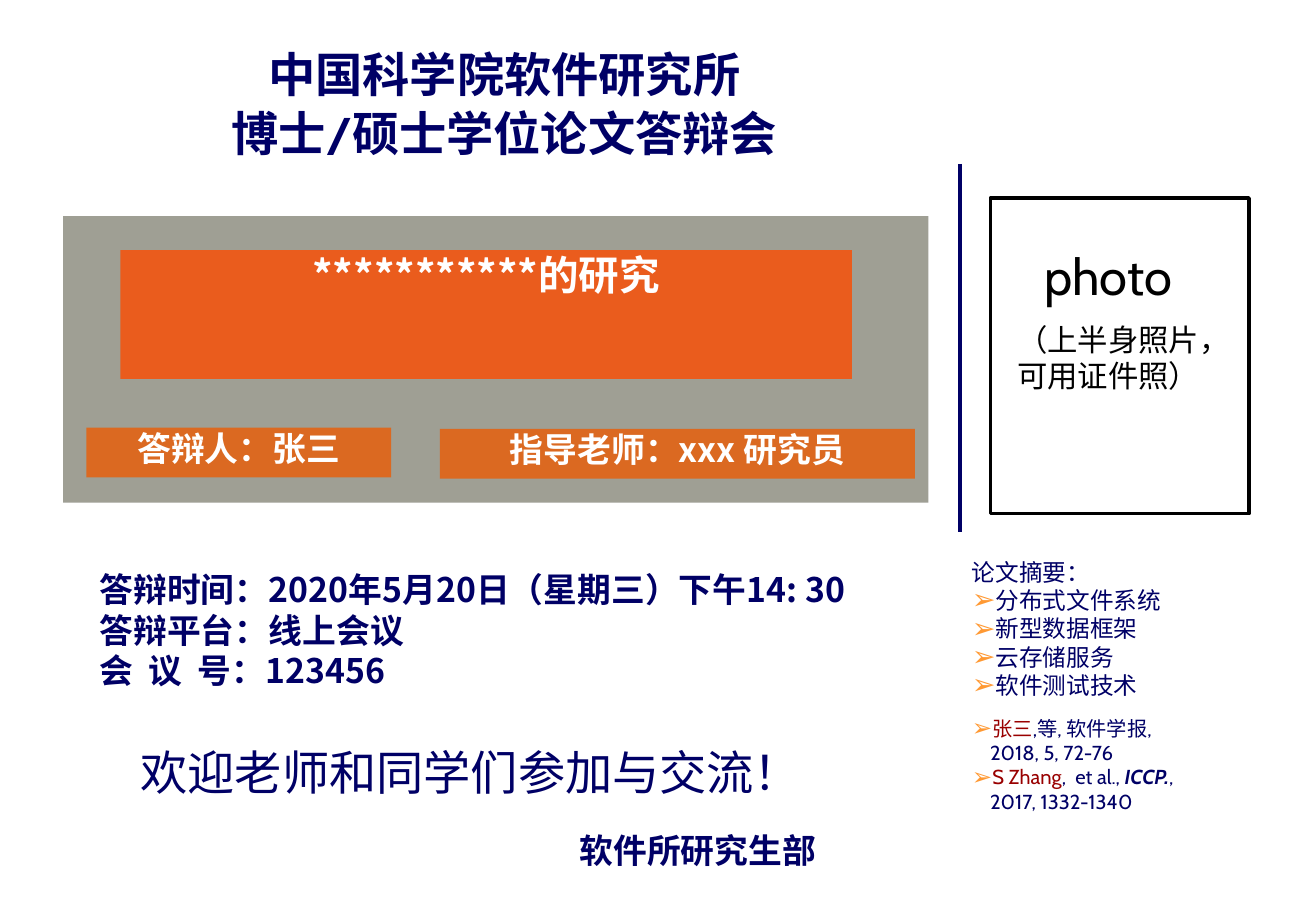
from lxml import etree
from pptx import Presentation
from pptx.dml.color import RGBColor
from pptx.enum.shapes import MSO_CONNECTOR, MSO_SHAPE
from pptx.enum.text import MSO_ANCHOR, PP_ALIGN
from pptx.oxml.ns import qn
from pptx.util import Inches, Pt

RECT = MSO_SHAPE.RECTANGLE
STRAIGHT = MSO_CONNECTOR.STRAIGHT
TOP, MIDDLE = MSO_ANCHOR.TOP, MSO_ANCHOR.MIDDLE
LEFT, CENTER = PP_ALIGN.LEFT, PP_ALIGN.CENTER

NAVY = RGBColor(0x00, 0x00, 0x66)
RED = RGBColor(0x99, 0x00, 0x00)
GRAY = RGBColor(0x87, 0x87, 0x7A)
ORANGE = RGBColor(0xFD, 0x4C, 0x00)
RUST = RGBColor(0xEB, 0x5C, 0x05)
WHITE = RGBColor(0xFF, 0xFF, 0xFF)
BLACK = RGBColor(0x00, 0x00, 0x00)
BULLET_COLOR = "FF9933"
CABIN, NOTO, ARIAL = "Cabin", "Noto Sans CJK SC", "Arial"
PAD = (0.1, 0.05, 0.1, 0.05)
FLUSH = (0, 0, 0, 0)

PANEL = (0.52, 1.78, 7.12, 2.36)
BANDS = [
    ((0.99, 2.06, 6.02, 1.06), ORANGE, "***********的研究", 24, NOTO),
    ((3.62, 3.53, 3.91, 0.41), RUST, "指导老师：xxx 研究员", 20, NOTO),
    ((0.71, 3.52, 2.51, 0.41), RUST, "答辩人：张三", 20, CABIN),
]
DIVIDER = (7.9, 1.35, 7.9, 4.38)
PHOTO_FRAME = (8.15, 1.63, 2.13, 2.6)

TITLE = ["中国科学院软件研究所", "博士/硕士学位论文答辩会"]
DETAILS = [
    "答辩时间：2020年5月20日（星期三）下午14: 30",
    "答辩平台：线上会议",
    "会  议  号：123456",
]
WELCOME = "欢迎老师和同学们参加与交流！"
HOST = "软件所研究生部"
TOPICS = ["分布式文件系统", "新型数据框架", "云存储服务", "软件测试技术"]
PAPERS = [
    ([("张三", RED, False), (",等, 软件学报,", NAVY, False)], "2018, 5, 72-76"),
    ([("S Zhang", RED, False), (",  et al., ", NAVY, False),
      ("ICCP.", NAVY, True), (",", NAVY, False)], "2017, 1332-1340"),
]


def add_rect(s, box, fill=None):
    sp = s.shapes.add_shape(RECT, *map(Inches, box))
    sp.shadow.inherit = False
    if fill is None:
        sp.fill.background()
        sp.line.color.rgb = BLACK
        sp.line.width = Pt(2)
    else:
        sp.fill.solid()
        sp.fill.fore_color.rgb = fill
        color = sp.fill._xPr.find(".//" + qn("a:srgbClr"))
        etree.SubElement(color, qn("a:alpha"), val="80000")
        sp.line.fill.background()
    return sp


def set_frame(sp, insets=PAD, anchor=TOP):
    tf = sp.text_frame
    tf.word_wrap = True
    tf.vertical_anchor = anchor
    tf.margin_left, tf.margin_top, tf.margin_right, tf.margin_bottom = map(Inches, insets)
    return tf


def add_text(s, box, insets=PAD, anchor=TOP):
    return set_frame(s.shapes.add_textbox(*map(Inches, box)), insets, anchor)


def add_line(tf, text, size, font, color=NAVY, bold=False, align=LEFT):
    p = tf.paragraphs[0] if not tf.paragraphs[0].runs else tf.add_paragraph()
    p.alignment = align
    p.font.size, p.font.name, p.font.bold = Pt(size), font, bold
    if isinstance(text, str):
        p.font.color.rgb = color
        p.add_run().text = text
    else:
        for words, run_color, strong in text:
            r = p.add_run()
            r.text = words
            r.font.color.rgb = run_color
            if strong:
                r.font.bold = r.font.italic = True
    return p


def add_bullet(p):
    pPr = p._p.get_or_add_pPr()
    parts = []
    color = etree.Element(qn("a:buClr"))
    etree.SubElement(color, qn("a:srgbClr"), val=BULLET_COLOR)
    parts.append(color)
    parts.append(etree.Element(qn("a:buSzPct"), val="120000"))
    parts.append(etree.Element(qn("a:buFont"), typeface=ARIAL))
    parts.append(etree.Element(qn("a:buChar"), char="➢"))
    default_font = pPr.find(qn("a:defRPr"))
    for part in parts:
        default_font.addprevious(part)


def main():
    prs = Presentation()
    prs.slide_width, prs.slide_height = Inches(10.83), Inches(7.5)
    s = prs.slides.add_slide(prs.slide_layouts[6])

    add_rect(s, PANEL, GRAY)
    for box, fill, text, size, font in BANDS:
        tf = set_frame(add_rect(s, box, fill), FLUSH)
        add_line(tf, text, size, font, WHITE, True, CENTER)

    tf = add_text(s, (0.82, 4.68, 7.1, 1.01), FLUSH, MIDDLE)
    for text in DETAILS:
        add_line(tf, text, 20, NOTO, bold=True)

    x1, y1, x2, y2 = map(Inches, DIVIDER)
    divider = s.shapes.add_connector(STRAIGHT, x1, y1, x2, y2)
    divider.line.color.rgb = NAVY
    divider.line.width = Pt(2)
    etree.SubElement(divider._element.spPr, qn("a:effectLst"))

    tf = add_text(s, (-0.49, 0.3, 9.28, 1.08))
    for text in TITLE:
        add_line(tf, text, 28, CABIN, bold=True, align=CENTER).line_spacing = Pt(35)

    add_line(add_text(s, (0.92, 6.07, 5.91, 0.57)), WELCOME, 28, CABIN, align=CENTER)
    add_line(add_text(s, (4.77, 6.83, 2.16, 0.45), FLUSH), HOST, 20, ARIAL, bold=True)

    tf = add_text(s, (7.9, 4.54, 2.86, 2.42))
    add_line(tf, "论文摘要：", 14, NOTO)
    for topic in TOPICS:
        add_bullet(add_line(tf, topic, 14, NOTO))
    for i, (citation, pages) in enumerate(PAPERS):
        p = add_line(tf, citation, 12, CABIN)
        p.space_before = Pt(0 if i else 10)
        add_bullet(p)
        p = add_line(tf, pages, 12, CABIN)
        p._p.get_or_add_pPr().set("marL", str(Inches(0.15)))

    add_rect(s, PHOTO_FRAME)
    tf = add_text(s, (8.23, 1.97, 1.78, 1.36))
    add_line(tf, "photo", 30, CABIN, BLACK, align=CENTER)
    caption = add_line(tf, "（上半身照片，可用证件照）", 18, CABIN, BLACK, align=CENTER)
    caption.space_before = Pt(9)

    prs.save("out.pptx")


if __name__ == "__main__":
    main()
